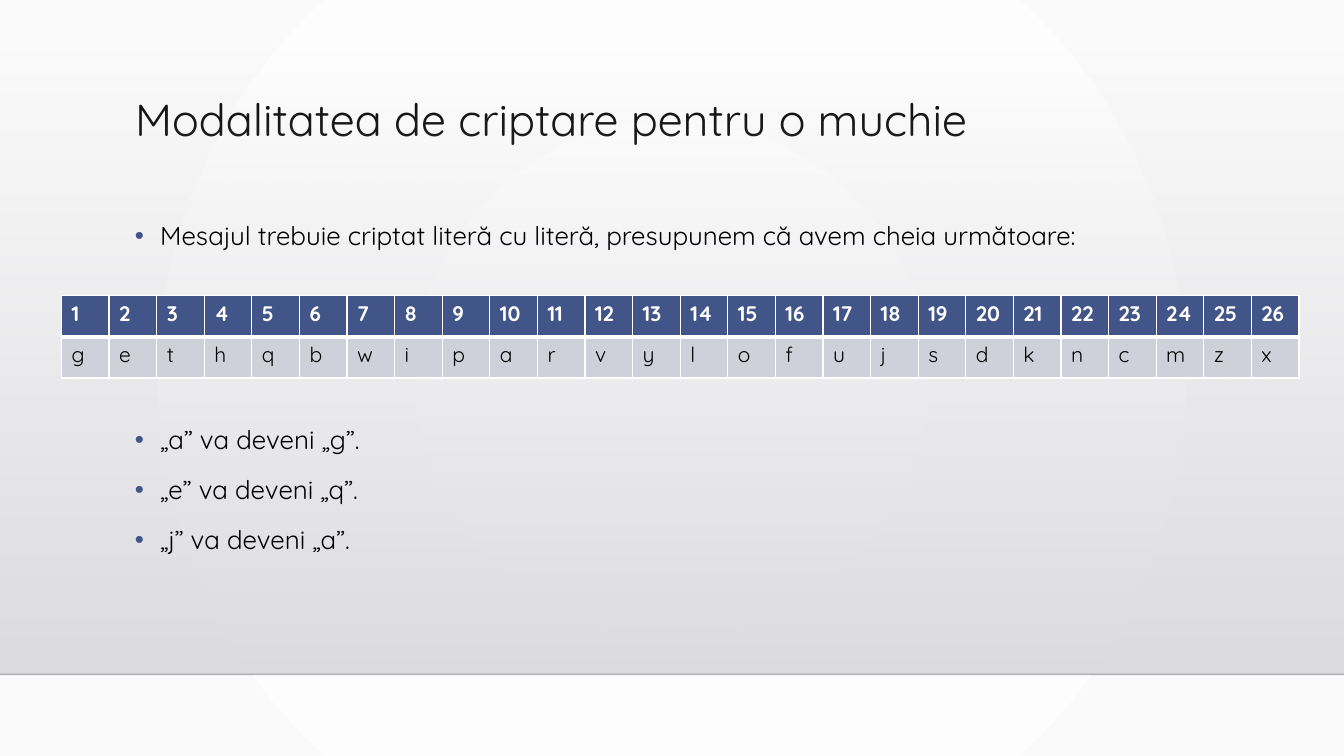
from dataclasses import dataclass

from lxml.etree import SubElement
from pptx import Presentation
from pptx.dml.color import RGBColor
from pptx.enum.shapes import MSO_CONNECTOR, MSO_SHAPE
from pptx.enum.text import MSO_ANCHOR, PP_ALIGN
from pptx.oxml import parse_xml
from pptx.oxml.ns import nsdecls, qn
from pptx.util import Inches, Pt

# Content
TITLE = "Modalitatea de criptare pentru o muchie"
INTRO = "Mesajul trebuie criptat literă cu literă, presupunem că avem cheia următoare:"
EXAMPLES = ["„a” va deveni „g”.", "„e” va deveni „q”.", "„j” va deveni „a”."]
KEY_LETTERS = "gethqbwiparvylofujsdkncmzx"
KEY_NUMBERS = [str(number) for number in range(1, len(KEY_LETTERS) + 1)]


@dataclass(frozen=True)
class Theme:
    font: str = "Quicksand"
    title_size: float = 32
    body_size: float = 18.5
    table_size: float = 15
    text: str = "000000"
    accent: str = "415588"
    light: str = "FFFFFF"
    key_fill: str = "CFD1DA"
    background_edge: str = "FAFAFA"
    band_top: str = "DCDCE0"
    band_bottom: str = "DEDEE2"
    rule: str = "000001"


THEME = Theme()

# Layout in inches
SLIDE_WIDTH, SLIDE_HEIGHT = 13.33, 7.5
TEXT_LEFT, TEXT_WIDTH = 1.24, 10.5
TITLE_TOP, TITLE_HEIGHT = 0.92, 1.15
BODY_TOP, BODY_HEIGHT = 2.07, 3.6
BAND_TOP, BAND_BOTTOM = 0.51, 6.69
TABLE_LEFT, TABLE_TOP, TABLE_WIDTH, ROW_HEIGHT = 0.61, 2.93, 12.28, 0.41
BULLET_INDENT = 0.25
PARAGRAPH_GAP, TABLE_GAP = 9, 119  # points


def add_run(paragraph, text, size, color, bold=False):
    run = paragraph.add_run()
    run.text = text
    run.font.name = THEME.font
    run.font.size = Pt(size)
    run.font.bold = bold
    run.font.color.rgb = RGBColor.from_string(color)


def set_gradient(fill, element, stops, direction):
    """Give a fill colour stops of (position, colour, opacity), in percent."""
    fill.solid()
    solid = element.xpath(".//a:solidFill")[0]
    stop_xml = "".join(
        f'<a:gs pos="{position * 1000}"><a:srgbClr val="{color}">'
        f'<a:alpha val="{opacity * 1000}"/></a:srgbClr></a:gs>'
        for position, color, opacity in stops
    )
    gradient = parse_xml(
        f'<a:gradFill {nsdecls("a")} rotWithShape="1">'
        f"<a:gsLst>{stop_xml}</a:gsLst>{direction}</a:gradFill>"
    )
    solid.getparent().replace(solid, gradient)


def add_bullet(paragraph):
    properties = paragraph._p.get_or_add_pPr()
    indent = Inches(BULLET_INDENT)
    properties.set("marL", str(indent))
    properties.set("indent", str(-indent))
    color = SubElement(properties, qn("a:buClr"))
    SubElement(color, qn("a:srgbClr"), val=THEME.accent)
    SubElement(properties, qn("a:buFont"), typeface="Arial")
    SubElement(properties, qn("a:buChar"), char="•")


def set_borders(cell, widths):
    properties = cell._tc.get_or_add_tcPr()
    for position, (side, width) in enumerate(widths.items()):
        border = parse_xml(
            f'<a:{side} {nsdecls("a")} w="{Pt(width)}"><a:solidFill>'
            f'<a:srgbClr val="{THEME.light}"/></a:solidFill></a:{side}>'
        )
        properties.insert(position, border)


presentation = Presentation()
presentation.slide_width = Inches(SLIDE_WIDTH)
presentation.slide_height = Inches(SLIDE_HEIGHT)
slide = presentation.slides.add_slide(presentation.slide_layouts[5])

# Background and shaded band
set_gradient(
    slide.background.fill, slide.element,
    [(0, THEME.light, 100), (100, THEME.background_edge, 100)],
    '<a:path path="circle"><a:fillToRect l="50000" t="50000" r="50000" b="50000"/></a:path>',
)
band = slide.shapes.add_shape(
    MSO_SHAPE.RECTANGLE, 0, Inches(BAND_TOP),
    Inches(SLIDE_WIDTH), Inches(BAND_BOTTOM - BAND_TOP),
)
band.shadow.inherit = False
band.line.fill.background()
set_gradient(
    band.fill, band.element,
    [(0, THEME.band_top, 0), (100, THEME.band_bottom, 100)],
    '<a:lin ang="5400000" scaled="0"/>',
)

# Rule under the band
rule = slide.shapes.add_connector(
    MSO_CONNECTOR.STRAIGHT, 0, Inches(BAND_BOTTOM), Inches(SLIDE_WIDTH), Inches(BAND_BOTTOM)
)
rule.line.width = Pt(1)
rule.line.color.rgb = RGBColor.from_string(THEME.rule)
SubElement(rule.element.xpath(".//a:ln//a:srgbClr")[0], qn("a:alpha"), val="20000")
SubElement(rule.element.spPr, qn("a:effectLst"))

# Title
title = slide.shapes.title
title.left, title.top = Inches(TEXT_LEFT), Inches(TITLE_TOP)
title.width, title.height = Inches(TEXT_WIDTH), Inches(TITLE_HEIGHT)
title.text_frame.vertical_anchor = MSO_ANCHOR.TOP
title.text_frame.word_wrap = True
paragraph = title.text_frame.paragraphs[0]
paragraph.alignment = PP_ALIGN.LEFT
paragraph.line_spacing = 0.9
add_run(paragraph, TITLE, THEME.title_size, THEME.text)

# Bulleted text, with room for the key table after the first line
body = slide.shapes.add_textbox(
    Inches(TEXT_LEFT), Inches(BODY_TOP), Inches(TEXT_WIDTH), Inches(BODY_HEIGHT)
)
frame = body.text_frame
frame.word_wrap = True
gaps = [0, TABLE_GAP] + [PARAGRAPH_GAP] * (len(EXAMPLES) - 1)
for index, (text, gap) in enumerate(zip([INTRO] + EXAMPLES, gaps)):
    paragraph = frame.add_paragraph() if index else frame.paragraphs[0]
    paragraph.line_spacing = 1.2
    paragraph.space_before = Pt(gap)
    add_bullet(paragraph)
    add_run(paragraph, text, THEME.body_size, THEME.text)

# Key table: text, fill, text colour, bold, top and bottom border per row
ROWS = [
    (KEY_NUMBERS, THEME.accent, THEME.light, True, 1, 3),
    (KEY_LETTERS, THEME.key_fill, THEME.text, False, 3, 1),
]
table = slide.shapes.add_table(
    len(ROWS), len(KEY_LETTERS), Inches(TABLE_LEFT), Inches(TABLE_TOP),
    Inches(TABLE_WIDTH), Inches(ROW_HEIGHT * len(ROWS)),
).table
for column in table.columns:
    column.width = Inches(TABLE_WIDTH / len(KEY_LETTERS))
for row, (values, fill, color, bold, top, bottom) in enumerate(ROWS):
    table.rows[row].height = Inches(ROW_HEIGHT)
    for column, value in enumerate(values):
        cell = table.cell(row, column)
        cell.fill.solid()
        cell.fill.fore_color.rgb = RGBColor.from_string(fill)
        set_borders(cell, {"lnL": 1, "lnR": 1, "lnT": top, "lnB": bottom})
        add_run(cell.text_frame.paragraphs[0], value, THEME.table_size, color, bold)

presentation.save("out.pptx")
